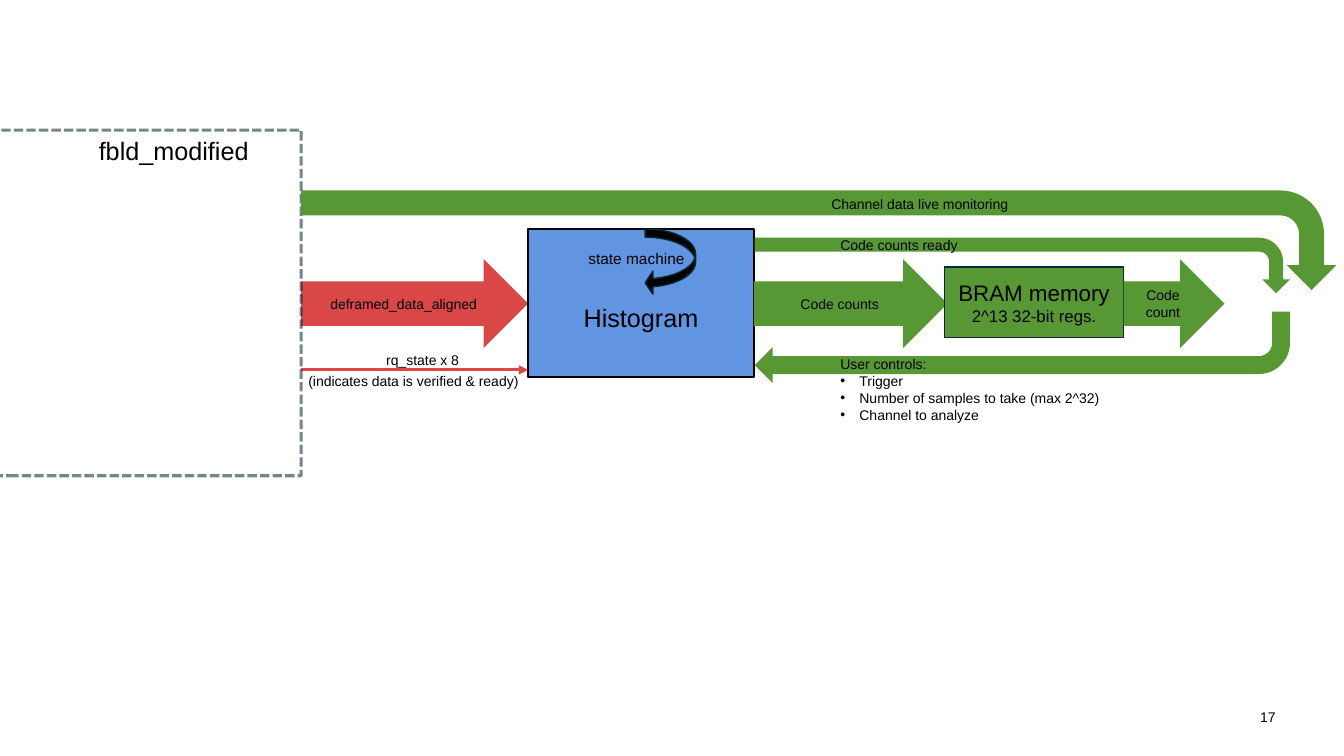
"""Build the slide showing the histogram data path from fbld_modified to the readout."""
import lxml.etree
import pptx
import pptx.dml.color
import pptx.enum.dml
import pptx.enum.shapes
import pptx.enum.text
import pptx.oxml.ns
import pptx.util

Cm = pptx.util.Cm
Pt = pptx.util.Pt
SHAPE = pptx.enum.shapes.MSO_SHAPE
ALIGN = pptx.enum.text.PP_ALIGN
MIDDLE = pptx.enum.text.MSO_ANCHOR.MIDDLE
qn = pptx.oxml.ns.qn

FONT = "Arial"
COLOURS = {"red": "D94747", "blue": "6195E1", "green": "579835",
           "black": "000000", "edge": "072835", "frame": "03222F"}

FRAME = (-6.81, 3.28, 14.4, 8.71)
HISTOGRAM = (13.31, 5.77, 5.69, 3.73)
MEMORY = (23.8, 6.73, 4.52, 1.78)
STATE_LOOP = (16.26, 5.77, 1.27, 1.65)
FRAME_RIGHT = FRAME[0] + FRAME[2]
HISTOGRAM_RIGHT = HISTOGRAM[0] + HISTOGRAM[2]
MEMORY_RIGHT = MEMORY[0] + MEMORY[2]
ARROW_TOP, ARROW_HEIGHT = 6.53, 2.24
REQUEST_Y = 9.32

DATA_ARROW = ("deframed_data_aligned", FRAME_RIGHT, HISTOGRAM[0], "red")
COUNTS_ARROW = ("Code counts", HISTOGRAM_RIGHT, 23.88, "green")
OUTPUT_ARROW = ("Code count", MEMORY_RIGHT, 30.86, "green")

CONTROLS_PATH = (19.02, 7.85, 13.49, 1.8)
READY_PATH = (19.02, 5.99, 13.49, 1.4)
LIVE_PATH = (FRAME_RIGHT, 4.8, 26.09, 2.51)

CONTROLS_TITLE = "User controls:"
CONTROLS = ["Trigger", "Number of samples to take (max 2^32)", "Channel to analyze"]


def colour(name):
    return pptx.dml.color.RGBColor.from_string(COLOURS[name])


def write(shape, lines, align=ALIGN.LEFT, bullets_from=None):
    frame = shape.text_frame
    for index, (words, size) in enumerate(lines):
        para = frame.paragraphs[0] if index == 0 else frame.add_paragraph()
        para.text = words
        para.alignment = align
        if bullets_from is not None and index >= bullets_from:
            properties = para._p.get_or_add_pPr()
            properties.set("marL", str(Cm(0.48)))
            properties.set("indent", str(-Cm(0.48)))
            bullet_font = lxml.etree.SubElement(properties, qn("a:buFont"))
            bullet_font.set("typeface", FONT)
            lxml.etree.SubElement(properties, qn("a:buChar")).set("char", "•")
        para.font.name = FONT
        para.font.size = Pt(size)
        para.font.color.rgb = colour("black")


def add_label(page, place, lines, align=ALIGN.LEFT, wrap=True, bullets_from=None):
    box = page.shapes.add_textbox(*map(Cm, place))
    box.text_frame.word_wrap = wrap
    write(box, lines, align, bullets_from)
    return box


def add_block(page, kind, place, fill=None, line=None, width=1, lines=()):
    block = page.shapes.add_shape(kind, *map(Cm, place))
    block.shadow.inherit = False
    if fill:
        block.fill.solid()
        block.fill.fore_color.rgb = colour(fill)
    else:
        block.fill.background()
    if line:
        block.line.color.rgb = colour(line)
        block.line.width = Pt(width)
    else:
        block.line.fill.background()
    block.text_frame.vertical_anchor = MIDDLE
    write(block, lines, ALIGN.CENTER)
    return block


def add_flow(page, words, start, end, fill):
    place = (start, ARROW_TOP, end - start, ARROW_HEIGHT)
    add_block(page, SHAPE.RIGHT_ARROW, place, fill, lines=[(words, 10)])


def add_bent_path(page, place, rotation):
    left, top, width, height = place
    if rotation == 90:
        left, top = left + (width - height) / 2, top + (height - width) / 2
        width, height = height, width
    path = add_block(page, SHAPE.BENT_ARROW, (left, top, width, height), "green")
    path.rotation = rotation


def add_request_line(page):
    ends = (FRAME_RIGHT, REQUEST_Y, HISTOGRAM[0], REQUEST_Y)
    line = page.shapes.add_connector(
        pptx.enum.shapes.MSO_CONNECTOR.STRAIGHT, *map(Cm, ends))
    line.line.color.rgb = colour("red")
    line.line.width = Pt(2.25)
    outline = line.line._get_or_add_ln()
    lxml.etree.SubElement(outline, qn("a:tailEnd")).set("type", "triangle")
    lxml.etree.SubElement(line._element.spPr, qn("a:effectLst"))


def add_frame(page):
    frame = add_block(page, SHAPE.RECTANGLE, FRAME, line="frame", width=2.25)
    frame.line.dash_style = pptx.enum.dml.MSO_LINE.SQUARE_DOT
    tint = frame.line._get_or_add_ln().find(".//" + qn("a:srgbClr"))
    lxml.etree.SubElement(tint, qn("a:alpha")).set("val", "54000")


def main():
    deck = pptx.Presentation()
    deck.slide_width, deck.slide_height = Cm(33.87), Cm(19.05)
    page = deck.slides.add_slide(deck.slide_layouts[6])

    number = add_label(page, (31.09, 17.55, 1.19, 1.02), [("17", 10)], ALIGN.RIGHT)
    number.text_frame.vertical_anchor = MIDDLE
    number.text_frame.margin_left = number.text_frame.margin_top = 0
    number.text_frame.margin_bottom = 0
    number.text_frame.margin_right = Cm(0.13)

    add_flow(page, *DATA_ARROW)
    histogram = add_block(page, SHAPE.RECTANGLE, HISTOGRAM, "blue", "black",
                          lines=[("Histogram", 18)])
    histogram.text_frame.margin_top = Cm(0.86)
    add_label(page, (14.58, 6.15, 3.35, 0.74), [("state machine", 11)])
    loop = add_block(page, SHAPE.CURVED_LEFT_ARROW, STATE_LOOP, "black", "edge")
    for index, value in enumerate((0.163, 0.457, 0.152)):
        loop.adjustments[index] = value

    add_flow(page, *COUNTS_ARROW)
    add_bent_path(page, CONTROLS_PATH, 180)
    add_label(page, (20.93, 8.84, 7.04, 1.96),
              [(words, 10) for words in [CONTROLS_TITLE] + CONTROLS], bullets_from=1)

    add_request_line(page)
    add_label(page, (9.47, 8.74, 2.36, 0.69), [("rq_state x 8", 10)],
              ALIGN.CENTER, wrap=False)
    add_label(page, (7.52, 9.27, 6.12, 0.69),
              [("(indicates data is verified & ready)", 10)])

    add_frame(page)
    add_label(page, (2.24, 3.28, 4.98, 1.02), [("fbld_modified", 18)])

    add_bent_path(page, READY_PATH, 90)
    add_label(page, (20.93, 5.84, 3.76, 0.69), [("Code counts ready", 10)])
    add_block(page, SHAPE.RECTANGLE, MEMORY, "green", "edge",
              lines=[("BRAM memory", 16), ("2^13 32-bit regs.", 12)])
    add_flow(page, *OUTPUT_ARROW)
    add_bent_path(page, LIVE_PATH, 90)
    add_label(page, (20.7, 4.8, 5.69, 0.69), [("Channel data live monitoring", 10)])

    deck.save("out.pptx")


if __name__ == "__main__":
    main()
